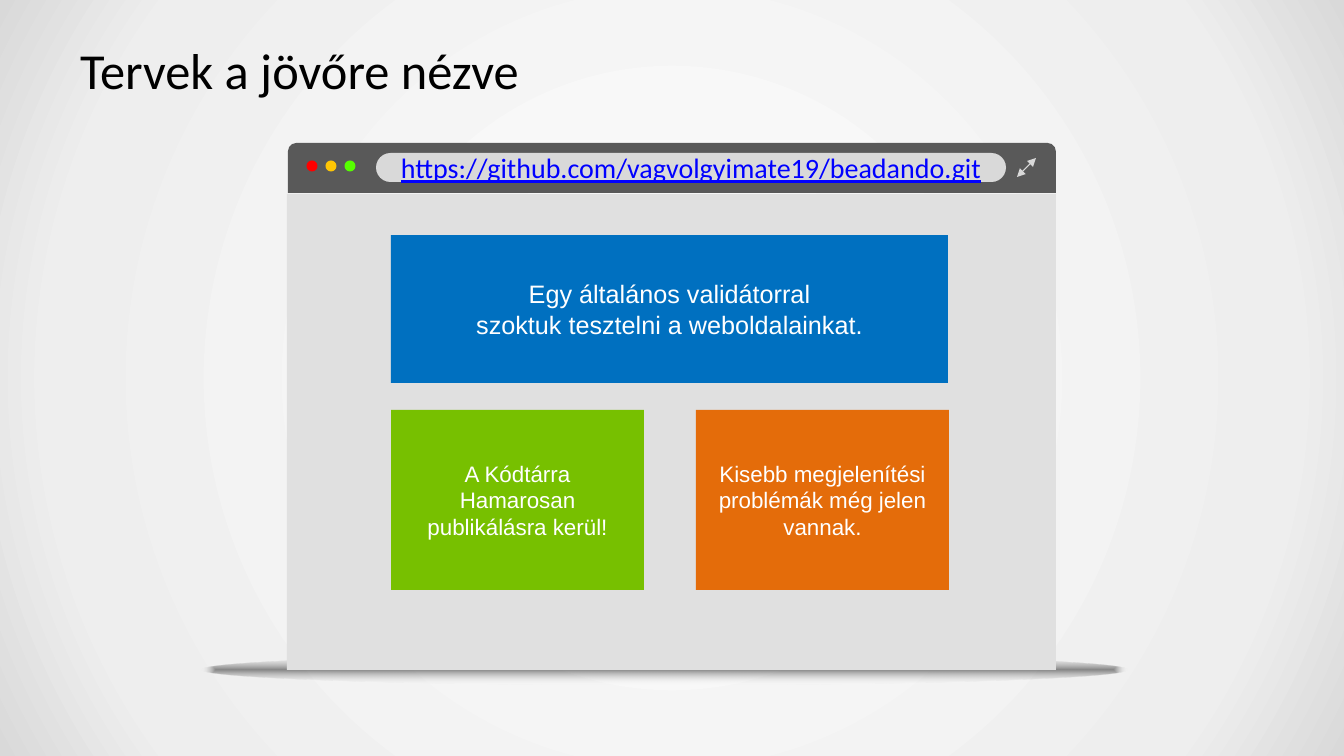
from dataclasses import dataclass
from math import cos, pi, sin

from lxml import etree
from pptx import Presentation
from pptx.dml.color import RGBColor
from pptx.enum.shapes import MSO_CONNECTOR, MSO_SHAPE
from pptx.enum.text import MSO_ANCHOR, PP_ALIGN
from pptx.oxml.ns import qn
from pptx.util import Emu, Pt

RECTANGLE = MSO_SHAPE.RECTANGLE
PILL = MSO_SHAPE.ROUNDED_RECTANGLE
TOP_ROUNDED = MSO_SHAPE.ROUND_2_SAME_RECTANGLE
OVAL = MSO_SHAPE.OVAL
STRAIGHT = MSO_CONNECTOR.STRAIGHT
MIDDLE = MSO_ANCHOR.MIDDLE
LEFT, CENTER = PP_ALIGN.LEFT, PP_ALIGN.CENTER
TITLE_ONLY = 5
EMU_PER_PX = 914400 / 100.8


@dataclass(frozen=True)
class Theme:
    heading_font: str = "Calibri"
    body_font: str = "Arial"
    title_size: int = 36
    address_size: int = 20
    large_size: int = 18
    card_size: int = 16
    black: str = "000000"
    white: str = "FFFFFF"
    bar: str = "595959"
    page: str = "E0E0E0"
    control: str = "D9D9D9"
    link: str = "0000FF"
    blue: str = "0070C0"
    green: str = "77C000"
    orange: str = "E46C0A"
    lights: tuple = ("FF0000", "FFC605", "56FF00")
    # Gradient stops: position, colour, opacity (all in percent)
    backdrop: tuple = ((0, "FFFFFF", 100), (81, "EEEEEE", 100), (100, "D9D9D9", 100))
    shade: tuple = ((0, "000000", 44), (100, "FFFFFF", 0))


def px(length):
    return Emu(round(length * EMU_PER_PX))


def rgb(color):
    return RGBColor.from_string(color)


class SlideBuilder:
    def __init__(self, slide, theme):
        self.slide = slide
        self.theme = theme

    def radial_gradient(self, owner, fill, stops, kind):
        fill.gradient()
        gradient = owner.find(".//" + qn("a:gradFill"))
        gradient.clear()
        gradient.set("rotWithShape", "1")
        stop_list = etree.SubElement(gradient, qn("a:gsLst"))
        for position, color, opacity in stops:
            stop = etree.SubElement(stop_list, qn("a:gs"), pos=str(position * 1000))
            color_element = etree.SubElement(stop, qn("a:srgbClr"), val=color)
            if opacity < 100:
                etree.SubElement(color_element, qn("a:alpha"), val=str(opacity * 1000))
        center = etree.SubElement(gradient, qn("a:path"), path=kind)
        etree.SubElement(center, qn("a:fillToRect"), l="50000", t="50000", r="50000", b="50000")

    def background(self, stops):
        self.radial_gradient(self.slide.element, self.slide.background.fill, stops, "circle")

    def finish(self, shape, color):
        shape.shadow.inherit = False
        shape.line.fill.background()
        if color:
            shape.fill.solid()
            shape.fill.fore_color.rgb = rgb(color)
        return shape

    def shape(self, preset, box, color=None):
        shape = self.slide.shapes.add_shape(preset, *map(px, box))
        return self.finish(shape, color)

    def ground_shadow(self, box, stops):
        shape = self.shape(OVAL, box)
        self.radial_gradient(shape.element, shape.fill, stops, "shape")

    def set_text(self, shape, lines, font, size, color, margins=(10, 5),
                 align=CENTER, underline=None):
        frame = shape.text_frame
        frame.word_wrap = True
        frame.vertical_anchor = MIDDLE
        frame.margin_left = frame.margin_right = px(margins[0])
        frame.margin_top = frame.margin_bottom = px(margins[1])
        frame.text = "\n".join(lines)
        for paragraph in frame.paragraphs:
            paragraph.alignment = align
            paragraph.font.name = font
            paragraph.font.size = Pt(size)
            paragraph.font.color.rgb = rgb(color)
            paragraph.font.underline = underline

    def title(self, text, box):
        title = self.slide.shapes.title
        title.left, title.top, title.width, title.height = map(px, box)
        self.set_text(title, [text], self.theme.heading_font, self.theme.title_size,
                      self.theme.black, margins=(13, 7), align=LEFT)

    def card(self, box, color, lines, size, margins=(10, 5)):
        card = self.shape(RECTANGLE, box, color)
        self.set_text(card, lines, self.theme.body_font, size, self.theme.white, margins)

    def address_field(self, box, text):
        field = self.shape(PILL, box, self.theme.control)
        field.adjustments[0] = 0.5
        self.set_text(field, [text], self.theme.heading_font, self.theme.address_size,
                      self.theme.link, underline=True)

    def light(self, center_x, center_y, radius, color, sides=16):
        angles = [2 * pi * step / sides for step in range(sides)]
        points = [(px(center_x + radius * sin(angle)), px(center_y - radius * cos(angle)))
                  for angle in angles]
        builder = self.slide.shapes.build_freeform(*points[0])
        builder.add_line_segments(points[1:], close=True)
        self.finish(builder.convert_to_shape(), color)

    def double_arrow(self, start, end, color):
        arrow = self.slide.shapes.add_connector(STRAIGHT, *map(px, start + end))
        arrow.line.color.rgb = rgb(color)
        arrow.line.width = Pt(0.75)
        properties = arrow.element.spPr
        line = properties.find(qn("a:ln"))
        for tag in ("a:headEnd", "a:tailEnd"):
            etree.SubElement(line, qn(tag), type="triangle")
        etree.SubElement(properties, qn("a:effectLst"))


def main():
    theme = Theme()
    presentation = Presentation()
    presentation.slide_width, presentation.slide_height = px(1344), px(756)
    slide = presentation.slides.add_slide(presentation.slide_layouts[TITLE_ONLY])
    builder = SlideBuilder(slide, theme)

    # Backdrop and title
    builder.background(theme.backdrop)
    builder.title("Tervek a jövőre nézve", (67, 30, 1210, 79))

    # Browser window
    builder.ground_shadow((202, 655, 926, 29), theme.shade)
    builder.shape(TOP_ROUNDED, (288, 143, 768, 50), theme.bar)
    builder.shape(RECTANGLE, (287, 194, 769, 476), theme.page)

    # Window controls
    for index, color in enumerate(theme.lights):
        builder.light(312 + 19 * index, 166, 5.5, color)
    builder.double_arrow((1036, 158), (1017, 177), theme.control)

    # Cards on the page
    small_cards = (
        (theme.green, ["A Kódtárra", "Hamarosan publikálásra kerül!"]),
        (theme.orange, ["Kisebb megjelenítési problémák még jelen vannak."]),
    )
    for index, (color, lines) in enumerate(small_cards):
        builder.card((391 + 305 * index, 410, 253, 180), color, lines,
                     theme.card_size, margins=(20, 5))
    builder.card((391, 235, 557, 148), theme.blue,
                 ["Egy általános validátorral", "szoktuk tesztelni a weboldalainkat."],
                 theme.large_size)

    # Address bar
    builder.address_field((376, 153, 630, 29),
                          "https://github.com/vagvolgyimate19/beadando.git")

    presentation.save("out.pptx")


if __name__ == "__main__":
    main()
